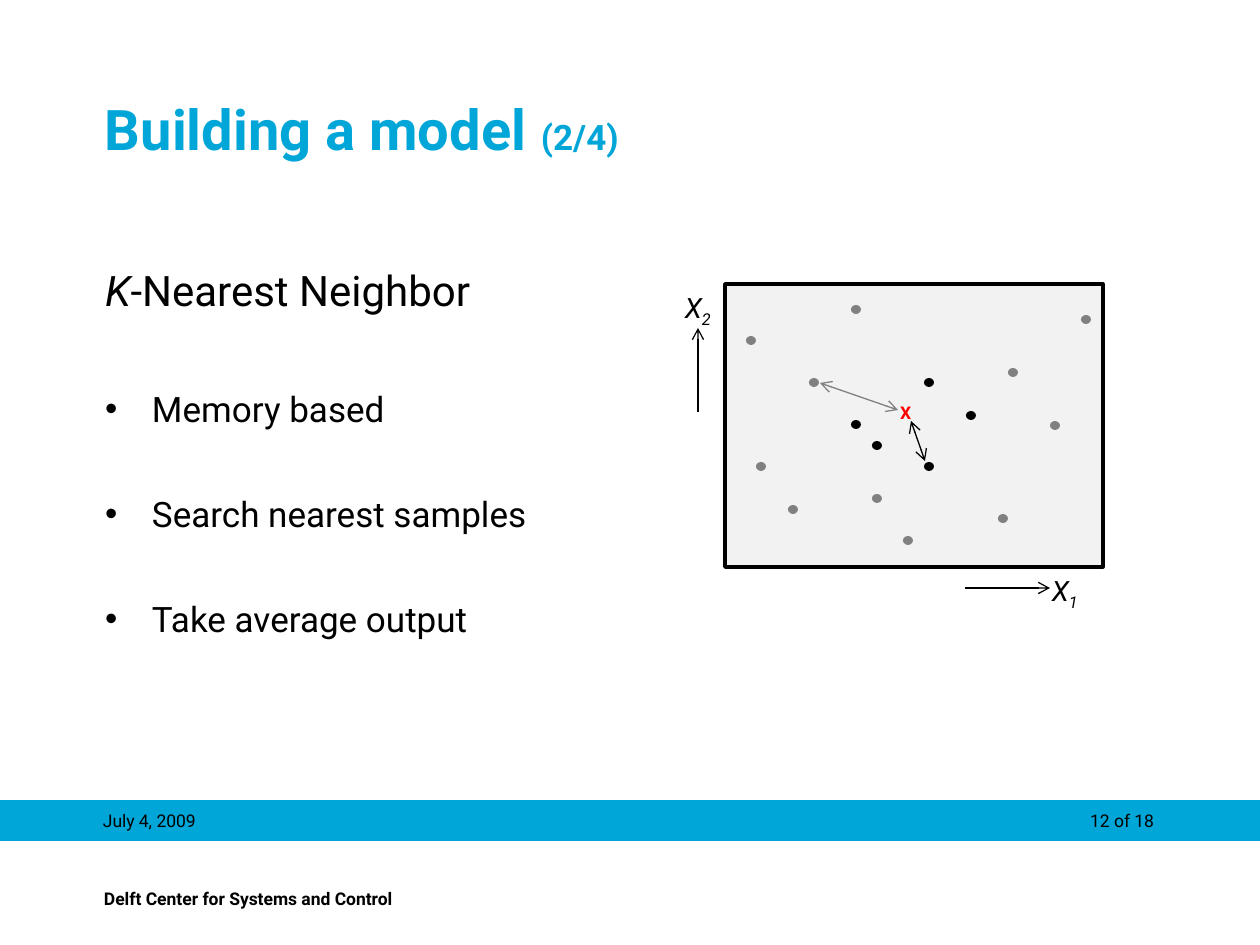
from dataclasses import dataclass

from lxml import etree
from pptx import Presentation
from pptx import util as u
from pptx.dml.color import RGBColor
from pptx.enum import shapes, text
from pptx.oxml import ns


@dataclass(frozen=True)
class Theme:
    font: str = "Roboto"
    cyan: str = "00A6D7"
    black: str = "000000"
    grey: str = "808080"
    panel: str = "F2F2F2"
    red: str = "FF0000"
    title: int = 32
    heading: int = 24
    body: int = 20
    axis: int = 16
    small: int = 10


@dataclass(frozen=True)
class Span:
    words: str
    size: int
    color: str = Theme.black
    bold: bool = False
    italic: bool = False
    subscript: bool = False


@dataclass(frozen=True)
class Para:
    spans: tuple[Span, ...]
    before: float = 0
    bullet: bool = False
    align: text.PP_ALIGN = text.PP_ALIGN.LEFT


@dataclass(frozen=True)
class Area:
    left: int
    top: int
    width: int
    height: int


@dataclass(frozen=True)
class Arrow:
    start: tuple[int, int]
    end: tuple[int, int]
    color: str = Theme.black
    double: bool = False


THEME = Theme()
SCALE = u.Inches(1) / 126
INDENT = 47
DOT = (10, 9)
GREY_DOTS = [
    (1050, 421), (756, 462), (1008, 368), (1081, 315), (788, 505), (809, 378),
    (746, 336), (851, 305), (872, 494), (903, 536), (998, 514),
]
BLACK_DOTS = [(851, 420), (872, 441), (924, 462), (924, 378), (966, 411)]
ARROWS = [
    Arrow((925, 461), (911, 421), double=True),
    Arrow((898, 410), (820, 383), THEME.grey, double=True),
    Arrow((698, 412), (698, 328)),
    Arrow((965, 588), (1050, 588)),
]


def px(length: int) -> u.Emu:
    return u.Emu(round(length * SCALE))


def place(area: Area) -> tuple[u.Emu, ...]:
    return px(area.left), px(area.top), px(area.width), px(area.height)


def add_bullet(para) -> None:
    props = para._p.get_or_add_pPr()
    props.set("marL", str(px(INDENT)))
    props.set("indent", str(-px(INDENT)))
    etree.SubElement(props, ns.qn("a:buFont")).set("typeface", "Arial")
    etree.SubElement(props, ns.qn("a:buChar")).set("char", "•")


def add_text(page, area: Area, paras: list[Para], inset: tuple[int, int] = (0, 0),
             anchor=text.MSO_ANCHOR.TOP, wrap: bool = True) -> None:
    frame = page.shapes.add_textbox(*place(area)).text_frame
    frame.word_wrap = wrap
    frame.vertical_anchor = anchor
    frame.margin_left = frame.margin_right = px(inset[0])
    frame.margin_top = frame.margin_bottom = px(inset[1])
    for index, item in enumerate(paras):
        para = frame.add_paragraph() if index else frame.paragraphs[0]
        if item.bullet:
            add_bullet(para)
        para.alignment = item.align
        para.line_spacing = 1.01
        para.space_before = u.Pt(item.before)
        for part in item.spans:
            span = para.add_run()
            span.text = part.words
            font = span.font
            font.name = THEME.font
            font.size = u.Pt(part.size)
            font.bold = part.bold
            font.italic = part.italic
            font.color.rgb = RGBColor.from_string(part.color)
            if part.subscript:
                span._r.get_or_add_rPr().set("baseline", "-25000")


def add_shape(page, kind, area: Area, fill: str, line: str = "", weight: float = 0) -> None:
    shape = page.shapes.add_shape(kind, *place(area))
    shape.shadow.inherit = False
    shape.fill.solid()
    shape.fill.fore_color.rgb = RGBColor.from_string(fill)
    if line:
        shape.line.color.rgb = RGBColor.from_string(line)
        shape.line.width = u.Pt(weight)
    else:
        shape.line.fill.background()


def add_arrow(page, arrow: Arrow) -> None:
    points = [px(value) for value in arrow.start + arrow.end]
    connector = page.shapes.add_connector(shapes.MSO_CONNECTOR.STRAIGHT, *points)
    connector.line.color.rgb = RGBColor.from_string(arrow.color)
    connector.line.width = u.Pt(0.75)
    outline = connector.line._get_or_add_ln()
    for end in ("a:headEnd", "a:tailEnd") if arrow.double else ("a:tailEnd",):
        etree.SubElement(outline, ns.qn(end)).set("type", "arrow")
    etree.SubElement(connector._element.spPr, ns.qn("a:effectLst"))


def add_footer(page) -> None:
    add_shape(page, shapes.MSO_SHAPE.RECTANGLE, Area(0, 801, 1260, 39),
              THEME.cyan, THEME.cyan, 0.75)
    add_text(page, Area(91, 882, 483, 33),
             [Para((Span("Delft Center for Systems and Control", THEME.small, bold=True),))],
             (13, 6))
    add_text(page, Area(103, 804, 262, 34),
             [Para((Span("July 4, 2009", THEME.small),))], (0, 6))
    add_text(page, Area(892, 804, 262, 34),
             [Para((Span("12 of 18", THEME.small),), align=text.PP_ALIGN.RIGHT)], (0, 6))


def add_words(page) -> None:
    title = Para((
        Span("Building a model ", THEME.title, THEME.cyan, bold=True),
        Span("(2/4)", THEME.body, THEME.cyan, bold=True),
    ))
    add_text(page, Area(105, 55, 1071, 145), [title], anchor=text.MSO_ANCHOR.MIDDLE)
    heading = Para((
        Span("K", THEME.heading, italic=True),
        Span("-Nearest Neighbor", THEME.heading),
    ))
    points = [
        Para((Span(words, THEME.body),), before, bullet=True)
        for words, before in (
            ("Memory based", 41), ("Search nearest samples", 36), ("Take average output", 36),
        )
    ]
    add_text(page, Area(105, 264, 588, 449), [heading, *points])


def add_scatter(page) -> None:
    add_shape(page, shapes.MSO_SHAPE.RECTANGLE, Area(725, 284, 378, 283),
              THEME.panel, THEME.black, 2)
    for color, dots in ((THEME.grey, GREY_DOTS), (THEME.black, BLACK_DOTS)):
        for left, top in dots:
            add_shape(page, shapes.MSO_SHAPE.OVAL, Area(left, top, *DOT), color)
    for arrow in ARROWS:
        add_arrow(page, arrow)
    for area, index in ((Area(1039, 567, 63, 52), "1"), (Area(672, 284, 53, 52), "2")):
        label = Para((
            Span("X", THEME.axis, italic=True),
            Span(index, THEME.axis, italic=True, subscript=True),
        ))
        add_text(page, area, [label], (13, 6), wrap=False)
    add_text(page, Area(887, 396, 42, 34),
             [Para((Span("X", THEME.small, THEME.red, bold=True),))], (13, 6))


def main() -> None:
    deck = Presentation()
    deck.slide_width, deck.slide_height = px(1260), px(945)
    page = deck.slides.add_slide(deck.slide_layouts[6])
    add_footer(page)
    add_words(page)
    add_scatter(page)
    deck.save("out.pptx")


if __name__ == "__main__":
    main()
